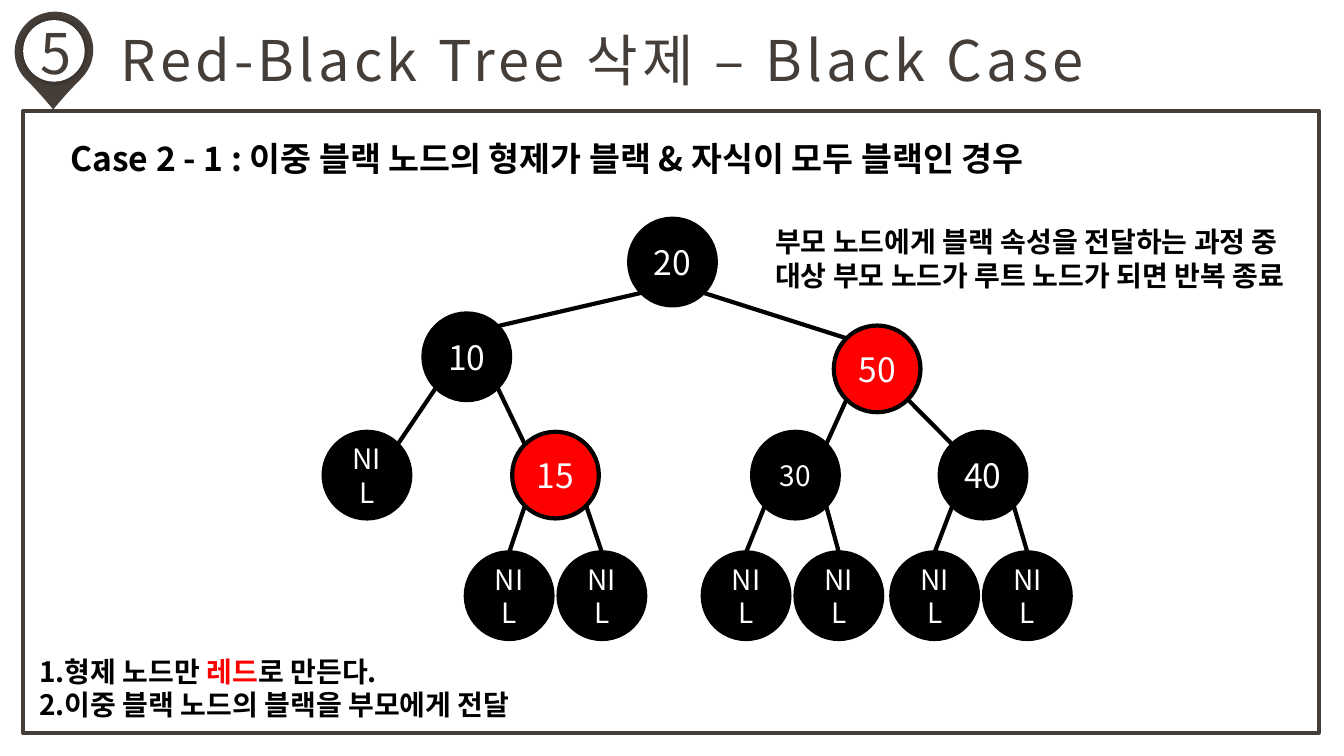
from lxml import etree
from pptx import Presentation
from pptx.dml.color import RGBColor
from pptx.enum.shapes import MSO_CONNECTOR, MSO_SHAPE as SHAPE
from pptx.enum.text import MSO_ANCHOR as ANCHOR, MSO_AUTO_SIZE as AUTO, PP_ALIGN as ALIGN
from pptx.oxml import parse_xml
from pptx.oxml.ns import nsdecls, qn
from pptx.util import Inches, Pt

W, H = 13.33, 7.5
FONT = "Noto Sans CJK KR"
COLORS = {"brown": "453D38", "black": "000000", "red": "FF0000", "white": "FFFFFF"}
NODE = 0.86                        # node diameter
DIAG = NODE / 2 * 0.5 ** 0.5       # centre to the 45° points of a node
LEAF_GAP = 0.46                    # parent axis to the centre of a leaf


def rgb(name):
    return RGBColor.from_string(COLORS[name])


def add_run(p, text, size, color, bold=False, spacing=0):
    r = p.add_run()
    r.text = text
    r.font.size, r.font.bold, r.font.name = Pt(size), bold, FONT
    r.font.color.rgb = rgb(color)
    r_pr = r.font._element
    etree.SubElement(r_pr, qn("a:ea"), typeface=FONT)
    if spacing:
        r_pr.set("spc", str(spacing * 100))


def add_shape(s, kind, box, fill=None, line=None):
    sp = s.shapes.add_shape(kind, *map(Inches, box))
    sp.shadow.inherit = False
    if fill:
        sp.fill.solid()
        sp.fill.fore_color.rgb = rgb(fill)
    else:
        sp.fill.background()
    if line:
        sp.line.color.rgb, sp.line.width = rgb(line), Pt(3)
    else:
        sp.line.fill.background()
    return sp


def add_text(s, box, lines, size, color="black", bold=True, spacing=0, wrap=True, align=ALIGN.LEFT):
    """Each line is a list of (text, color) runs; a color of None means the default."""
    tf = s.shapes.add_textbox(*map(Inches, box)).text_frame
    tf.word_wrap = wrap
    for i, runs in enumerate(lines):
        p = tf.paragraphs[0] if i == 0 else tf.add_paragraph()
        p.alignment = align
        for text, run_color in runs:
            add_run(p, text, size, run_color or color, bold, spacing)


def add_title(s, box, text):
    title = s.shapes.title
    title.left, title.top, title.width, title.height = map(Inches, box)
    tf = title.text_frame
    tf.word_wrap, tf.auto_size, tf.vertical_anchor = True, AUTO.NONE, ANCHOR.TOP
    p = tf.paragraphs[0]
    p.alignment = ALIGN.LEFT
    add_run(p, text, 40, "brown", spacing=3)


def add_pin(s, box, number):
    x, y, w, h = box
    drop = add_shape(s, SHAPE.TEAR, box, "brown")
    drop.rotation, drop.adjustments[0] = 135, 1.053
    disc = add_shape(s, SHAPE.OVAL, (x + 0.09, y + 0.08, w - 0.18, h - 0.16), "white")
    effects = disc._element.spPr.find(qn("a:effectLst"))
    effects.append(parse_xml(
        f'<a:outerShdw {nsdecls("a")} blurRad="{Pt(5)}" dist="0" dir="0">'
        f'<a:srgbClr val="{COLORS["black"]}"><a:alpha val="40000"/></a:srgbClr></a:outerShdw>'))
    add_text(s, (x + 0.12, y + 0.01, 0.59, h), [[(number, None)]], 40, "brown",
             bold=False, spacing=3, wrap=False, align=ALIGN.CENTER)


def add_edge(s, start, end):
    c = s.shapes.add_connector(MSO_CONNECTOR.STRAIGHT, *map(Inches, start + end))
    c.line.color.rgb, c.line.width = rgb("black"), Pt(3)
    etree.SubElement(c._element.spPr, qn("a:effectLst"))


def add_node(s, center, label, fill, size):
    x, y = center
    sp = add_shape(s, SHAPE.OVAL, (x - NODE / 2, y - NODE / 2, NODE, NODE), fill, "black")
    tf = sp.text_frame
    tf.word_wrap, tf.vertical_anchor = True, ANCHOR.MIDDLE
    tf.paragraphs[0].alignment = ALIGN.CENTER
    add_run(tf.paragraphs[0], label, size, "white")


def add_tree(s, box):
    """Node centres are measured from the top left corner of the box."""
    left, top, _, height = box
    inner_y, leaf_y = top + height * 0.61, top + height - NODE / 2
    nodes = {
        "20": (left + 3.46, top + 0.43, "black", 24),
        "10": (left + 1.42, top + 1.37, "black", 24),
        "50": (left + 5.49, top + 1.49, "red", 24),
        "NIL": (left + 0.43, inner_y, "black", 20),
        "15": (left + 2.3, inner_y, "red", 24),
        "30": (left + 4.68, inner_y, "black", 20),
        "40": (left + 6.54, inner_y, "black", 24),
    }
    children = {"20": ("10", "50"), "10": ("NIL", "15"), "50": ("30", "40")}
    leaf_parents = {"15": 0, "30": -0.03, "40": -0.02}   # shift of each leaf pair

    for parent, pair in children.items():
        px, py = nodes[parent][:2]
        for side, child in zip((-1, 1), pair):
            cx, cy = nodes[child][:2]
            add_edge(s, (px + side * DIAG, py + DIAG), (cx - side * DIAG, cy - DIAG))
    for parent, shift in leaf_parents.items():
        px, py = nodes[parent][:2]
        for side in (-1, 1):
            x = px + shift + side * LEAF_GAP
            add_edge(s, (px + side * DIAG, py + DIAG), (x, leaf_y - NODE / 2))
            add_node(s, (x, leaf_y), "NIL", "black", 20)
    for label, (x, y, fill, size) in nodes.items():
        add_node(s, (x, y), label, fill, size)


def add_case(s, box):
    """Framed panel with the case heading, the tree and its remarks."""
    x, y, w, h = box
    add_shape(s, SHAPE.RECTANGLE, box, line="brown")
    add_text(s, (x + 0.37, y + 0.22, w - 0.5, 0.5),
             [[("Case 2 - 1 : 이중 블랙 노드의 형제가 블랙 & 자식이 모두 블랙인 경우", None)]], 24)
    add_tree(s, (x + 2.98, y + 1.07, 7.45, 4.17))
    add_text(s, (x + 7.36, y + 1.08, 5.36, 0.77),
             [[("부모 노드에게 블랙 속성을 전달하는 과정 중", None)],
              [("대상 부모 노드가 루트 노드가 되면 반복 종료", None)]], 20)
    add_text(s, (x + 0.06, y + h - 0.83, 6.11, 0.77),
             [[("1.형제 노드만 ", None), ("레드", "red"), ("로 만든다.", None)],
              [("2.이중 블랙 노드의 블랙을 부모에게 전달", None)]], 20)


def main():
    prs = Presentation()
    prs.slide_width, prs.slide_height = Inches(W), Inches(H)
    s = prs.slides.add_slide(prs.slide_layouts[5])
    add_title(s, (1.1, 0.2, 11.98, 0.77), "Red-Black Tree 삭제 – Black Case")
    add_pin(s, (0.14, 0.12, 0.79, 0.77), "5")
    add_case(s, (0.23, 1.1, 12.85, 6.17))
    prs.save("out.pptx")


if __name__ == "__main__":
    main()
